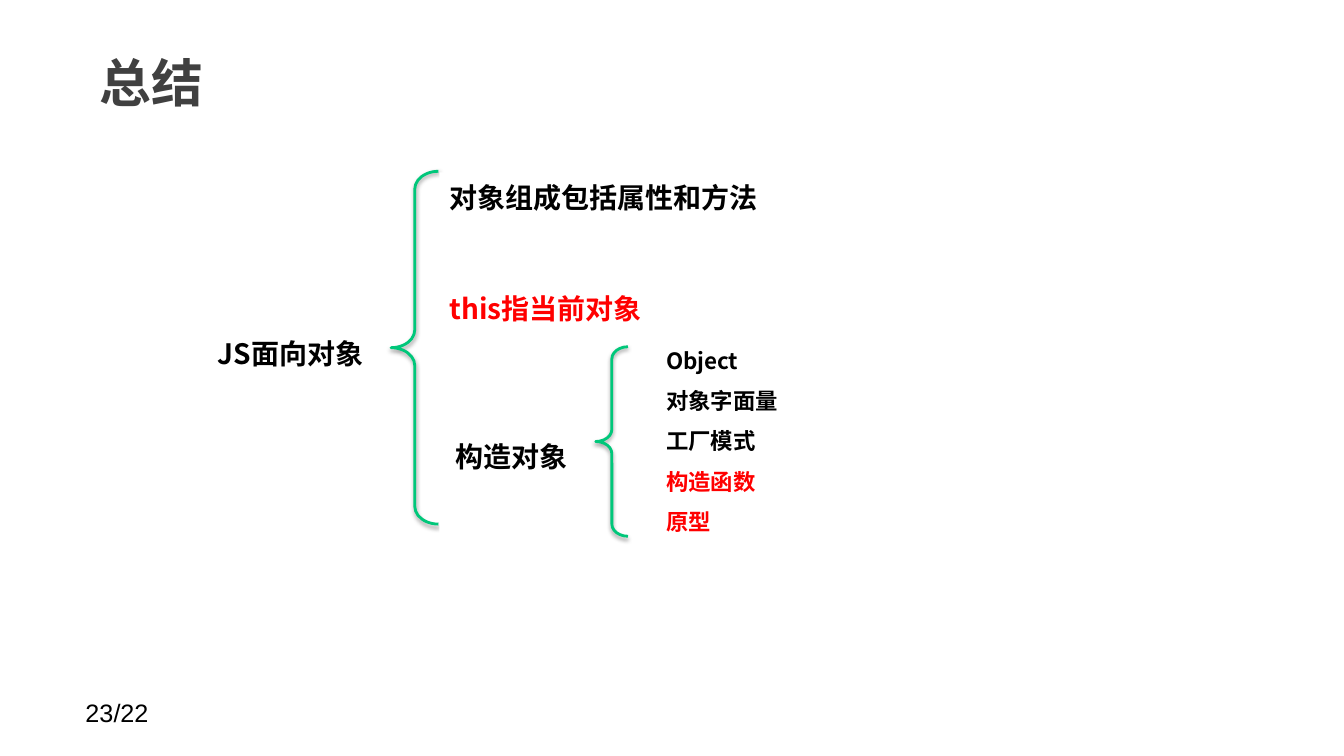
from dataclasses import dataclass

from lxml import etree
from pptx import Presentation
from pptx import util as u
from pptx.dml.color import RGBColor
from pptx.enum import shapes, text
from pptx.oxml import ns


@dataclass(frozen=True)
class Theme:
    cjk: str = "Noto Sans CJK SC"
    latin: str = "Arial"
    title: str = "404040"
    ink: str = "000000"
    accent: str = "FF0000"
    brace: str = "00C77A"
    paper: str = "FFFFFF"
    title_size: float = 37
    topic_size: float = 20
    item_size: float = 16
    page_size: float = 18
    topic_pitch: float = 26.4
    item_pitch: float = 28.75


T = Theme()
CELL = 0.1  # inches per grid column and row


def grid(*cells):
    return [u.Inches(round(c * CELL, 3)) for c in cells]


def rgb(value):
    return RGBColor.from_string(value)


def write(p, words, size, color=T.ink, font=T.cjk, bold=True, pitch=None):
    p.text = words
    p.alignment = text.PP_ALIGN.LEFT
    if pitch:
        p.line_spacing = u.Pt(pitch)
    for r in p.runs:
        r.font.size, r.font.bold, r.font.name = u.Pt(size), bold, font
        r.font.color.rgb = rgb(color)
        ea = etree.SubElement(r.font._element, ns.qn("a:ea"))
        ea.set("typeface", font)


def add_label(parent, box, words, size, **style):
    tf = parent.add_textbox(*grid(*box)).text_frame
    tf.word_wrap = True
    write(tf.paragraphs[0], words, size, **style)
    return tf


def add_lines(tf, lines, size, pitch):
    """Each line is (words, colour, indent in cells, empty rows above)."""
    tf.word_wrap = True
    tf.vertical_anchor = text.MSO_ANCHOR.TOP
    for i, (words, color, indent, rows_above) in enumerate(lines):
        p = tf.add_paragraph() if i else tf.paragraphs[0]
        write(p, words, size, color, pitch=pitch)
        p.space_before = u.Pt(rows_above * pitch)
        p._p.get_or_add_pPr().set("marL", str(grid(indent)[0]))


def add_panel(parent, box):
    sp = parent.add_shape(shapes.MSO_SHAPE.RECTANGLE, *grid(*box))
    sp.shadow.inherit = False
    sp.fill.solid()
    sp.fill.fore_color.rgb = rgb(T.paper)
    sp.line.fill.background()
    return sp.text_frame


def add_brace(parent, box):
    sp = parent.add_shape(shapes.MSO_SHAPE.LEFT_BRACE, *grid(*box))
    sp.adjustments[0], sp.adjustments[1] = 0.376, 0.5
    sp.fill.background()
    sp.line.color.rgb = rgb(T.brace)
    sp.line.width = u.Pt(2)
    # Soft shadow straight below the stroke
    sp.shadow.inherit = False
    effects = sp._element.spPr.find(ns.qn("a:effectLst"))
    shadow = etree.SubElement(
        effects, ns.qn("a:outerShdw"), blurRad=str(u.Pt(3.1)),
        dist=str(u.Pt(1.6)), dir="5400000", rotWithShape="0")
    black = etree.SubElement(shadow, ns.qn("a:srgbClr"), val=T.ink)
    etree.SubElement(black, ns.qn("a:alpha"), val="38000")


def main():
    prs = Presentation()
    prs.slide_width, prs.slide_height = grid(133.33, 75)
    s = prs.slides.add_slide(prs.slide_layouts[6])

    # Page number and title
    add_label(s.shapes, (7.5, 68.7, 23.3, 4), "23/22", T.page_size,
              font=T.latin, bold=False)
    title = add_label(s.shapes, (8.6, 3, 104.1, 10.3), "总结",
                      T.title_size, color=T.title)
    title.vertical_anchor = text.MSO_ANCHOR.MIDDLE
    title.margin_left, title.margin_right = grid(1.3, 1.3)

    # Subject and its three topics
    tree = s.shapes.add_group_shape().shapes
    add_brace(tree, (38.8, 17, 4.7, 35))
    add_label(tree, (20.6, 32.6, 20.5, 3), "JS面向对象", T.topic_size,
              pitch=T.topic_pitch)
    topics = [("对象组成包括属性和方法", T.ink, 0, 0),
              ("this指当前对象", T.accent, 0, 2),
              ("构造对象", T.ink, 0.6, 3)]
    add_lines(add_panel(tree, (43.6, 17.1, 79.4, 47.1)), topics,
              T.topic_size, T.topic_pitch)

    # Ways to construct an object
    add_brace(s.shapes, (59.1, 34.4, 3.2, 18.8))
    ways = [("Object", T.ink), ("对象字面量", T.ink), ("工厂模式", T.ink),
            ("构造函数", T.accent), ("原型", T.accent)]
    box = s.shapes.add_textbox(*grid(60.1, 32.6, 24.7, 23.9))
    add_lines(box.text_frame, [(*way, 5, 0) for way in ways],
              T.item_size, T.item_pitch)

    prs.save("out.pptx")


if __name__ == "__main__":
    main()
